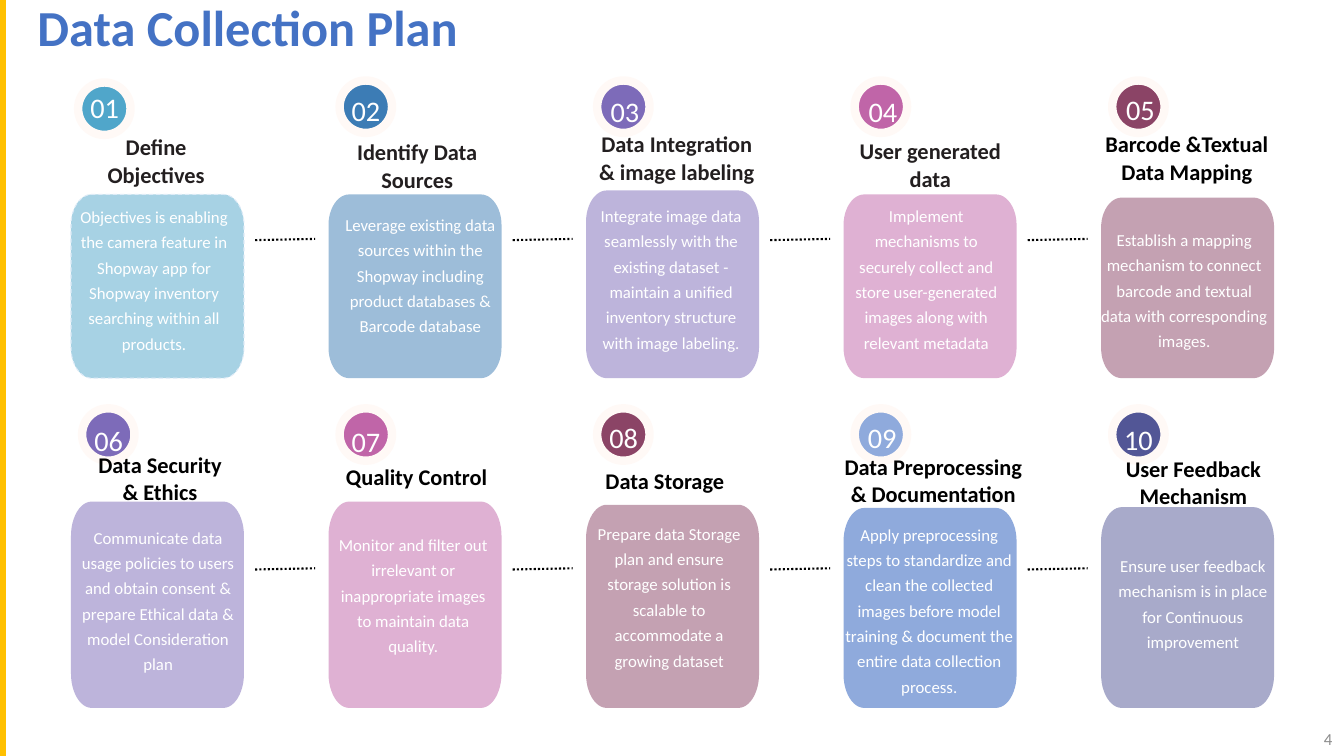
from dataclasses import dataclass
from math import cos, pi, sin

from lxml import etree
from pptx import Presentation
from pptx.dml.color import RGBColor
from pptx.enum.dml import MSO_LINE
from pptx.enum.shapes import MSO_CONNECTOR, MSO_SHAPE
from pptx.enum.text import MSO_ANCHOR, PP_ALIGN
from pptx.oxml.ns import qn
from pptx.shapes.base import BaseShape
from pptx.slide import Slide
from pptx.text.text import TextFrame
from pptx.util import Cm, Pt

LEFT, MID, RIGHT = PP_ALIGN.LEFT, PP_ALIGN.CENTER, PP_ALIGN.RIGHT
TOP, CENTRE = MSO_ANCHOR.TOP, MSO_ANCHOR.MIDDLE
DASH, DOTS = MSO_LINE.DASH, MSO_LINE.ROUND_DOT
OVAL, RECT = MSO_SHAPE.OVAL, MSO_SHAPE.RECTANGLE
STRAIGHT = MSO_CONNECTOR.STRAIGHT


@dataclass(frozen=True)
class Theme:
    font: str = "Calibri"
    blue: str = "4472C4"
    gold: str = "FFC000"
    cream: str = "FFF9F6"
    pale: str = "DEEBF7"
    white: str = "FFFFFF"
    black: str = "000000"
    ink: str = "231F20"
    grey: str = "8C8C8C"
    teal: str = "50A6CA"
    sea: str = "3C7CB5"
    plum: str = "7D6BB9"
    pink: str = "C065A8"
    wine: str = "8B4466"
    sky: str = "8FAADC"
    navy: str = "525696"
    head: float = 36
    count: float = 20.2
    label: float = 16
    small: float = 12


@dataclass(frozen=True)
class Spot:
    """Text place in cm; x counts from the left edge of the step's card."""
    x: float
    y: float
    wide: float = 3.89


@dataclass(frozen=True)
class Step:
    label: str
    body: str
    tint: str
    top: float
    count: Spot
    name: Spot
    note: Spot


@dataclass(frozen=True)
class Row:
    ring: float
    base: float
    link: float
    lead: float | None
    steps: tuple[Step, ...]


T = Theme()
START, PITCH, WIDE = 1.79, 6.49, 4.36
RING, COUNT = 1.32, 0.94

ROWS = (
    Row(2.03, 9.53, 6.05, 19.9, (
        Step("Define Objectives",
             "Objectives is enabling the camera feature in Shopway app for Shopway "
             "inventory searching within all products.",
             T.teal, 4.9, Spot(0.38, 2.13, COUNT), Spot(0.33, 3.33, 3.63), Spot(0.15, 5.08)),
        Step("Identify Data Sources",
             "Leverage existing data sources within the Shopway including product "
             "databases & Barcode database",
             T.sea, 4.9, Spot(0.47, 2.21, COUNT), Spot(0.42, 3.45, 3.63), Spot(0.26, 5.28, 4.11)),
        Step("Data Integration & image labeling",
             "Integrate image data seamlessly with the existing dataset - maintain "
             "a unified inventory structure with image labeling.",
             T.plum, 4.8, Spot(0.51, 2.24, COUNT), Spot(0.28, 3.25, 4.01), Spot(0.2, 5.05)),
        Step("User generated data",
             "Implement mechanisms to securely collect and store user-generated "
             "images along with relevant metadata",
             T.pink, 4.9, Spot(0.52, 2.24, COUNT), Spot(0.09, 3.43, 4.19), Spot(0.14, 5.05)),
        Step("Barcode &Textual Data Mapping",
             "Establish a mapping mechanism to connect barcode and textual data "
             "with corresponding images.",
             T.wine, 4.98, Spot(0.52, 2.18, COUNT), Spot(0, 3.25, 4.32), Spot(0, 5.66, 4.19)),
    )),
    Row(10.29, 17.84, 14.35, None, (
        Step("Data Security & Ethics",
             "Communicate data usage policies to users and obtain consent & prepare "
             "Ethical data & model Consideration plan",
             T.plum, 12.64, Spot(0.48, 10.52, COUNT), Spot(0.43, 11.38, 3.63), Spot(0.25, 13.16)),
        Step("Quality Control",
             "Monitor and filter out irrelevant or inappropriate images to maintain "
             "data quality.",
             T.pink, 12.64, Spot(0.47, 10.54, COUNT), Spot(0.44, 11.68, 3.63), Spot(0.19, 13.34)),
        Step("Data Storage",
             "Prepare data Storage plan and ensure storage solution is scalable to "
             "accommodate a growing dataset",
             T.wine, 12.72, Spot(0.48, 10.46, COUNT), Spot(0.49, 11.76, 3.63), Spot(0.15, 13.06)),
        Step("Data Preprocessing & Documentation",
             "Apply preprocessing steps to standardize and clean the collected images "
             "before model training & document the entire data collection process.",
             T.sky, 12.8, Spot(0.5, 10.46, COUNT), Spot(0, 11.43, 4.52), Spot(0.04, 13.08, 4.24)),
        Step("User Feedback Mechanism",
             "Ensure user feedback mechanism is in place for Continuous improvement",
             T.navy, 12.78, Spot(0.47, 10.49, COUNT), Spot(0.51, 11.46, 3.63), Spot(0.37, 13.87)),
    )),
)


def style(frame: TextFrame, text: str, size: float, tint: str, align: PP_ALIGN = MID,
          lead: float | None = None, bold: bool = False) -> None:
    frame.word_wrap = True
    frame.text = text
    para = frame.paragraphs[0]
    para.alignment = align
    if lead:
        para.line_spacing = Pt(lead)
    font = para.runs[0].font
    font.name, font.size, font.bold = T.font, Pt(size), bold
    font.color.rgb = RGBColor.from_string(tint)


def write(slide: Slide, left: float, spot: Spot, high: float) -> TextFrame:
    """Add an empty text box without insets."""
    box = slide.shapes.add_textbox(Cm(left + spot.x), Cm(spot.y), Cm(spot.wide), Cm(high))
    frame = box.text_frame
    frame.margin_left = frame.margin_right = frame.margin_top = frame.margin_bottom = 0
    return frame


def paint(shape: BaseShape, fill: str, edge: str | None = None, width: float = 1) -> None:
    shape.shadow.inherit = False
    shape.fill.solid()
    shape.fill.fore_color.rgb = RGBColor.from_string(fill)
    if edge:
        shape.line.color.rgb = RGBColor.from_string(edge)
        shape.line.width = Pt(width)
    else:
        shape.line.fill.background()


def add_card(slide: Slide, left: float, step: Step, base: float) -> None:
    """Draw a card whose corners are quarter ellipses."""
    high = base - step.top
    rx, ry = 0.12 * WIDE, high / 6
    hubs = ((left + WIDE - rx, base - ry), (left + rx, base - ry),
            (left + rx, step.top + ry), (left + WIDE - rx, step.top + ry))
    dots = []
    for turn, (x, y) in enumerate(hubs):
        for part in range(13):
            angle = (turn + part / 12) * pi / 2
            dots.append((Cm(x + rx * cos(angle)), Cm(y + ry * sin(angle))))
    path = slide.shapes.build_freeform(*dots[0])
    path.add_line_segments(dots[1:], close=True)
    card = path.convert_to_shape()
    dashed = step.tint == T.teal
    paint(card, step.tint, T.pale if dashed else None, 0.75)
    if dashed:
        card.line.dash_style = DASH
    if step.tint != T.sky:
        tint = card.fill._xPr.find(qn("a:solidFill"))[0]
        etree.SubElement(tint, qn("a:alpha")).set("val", "50000")


def add_link(slide: Slide, left: float, y: float) -> None:
    link = slide.shapes.add_connector(STRAIGHT, Cm(left), Cm(y), Cm(left + 1.51), Cm(y - 0.03))
    link.line.color.rgb = RGBColor.from_string(T.black)
    link.line.width = Pt(1.5)
    link.line.dash_style = DOTS
    etree.SubElement(link._element.spPr, qn("a:effectLst"))


def add_step(slide: Slide, step: Step, order: int, left: float, row: Row) -> None:
    add_card(slide, left, step, row.base)
    shift = 0.1 if order == 1 else 0
    ring = slide.shapes.add_shape(OVAL, Cm(left + 0.28 - shift), Cm(row.ring + shift / 2),
                                  Cm(RING), Cm(RING))
    paint(ring, step.tint, T.cream, 6)
    style(write(slide, left, step.count, COUNT), f"{order:02}", T.count, T.white, lead=28.2)
    style(write(slide, left, step.name, 1.38), step.label, T.label,
          T.ink if order < 5 else T.black, LEFT if order in (7, 8) else MID, row.lead, True)
    style(write(slide, left, step.note, 3.8), step.body, T.small, T.white, lead=18.1)


def main() -> None:
    deck = Presentation()
    deck.slide_width, deck.slide_height = Cm(33.87), Cm(19.05)
    slide = deck.slides.add_slide(deck.slide_layouts[5])

    head = slide.shapes.title
    head.left, head.top, head.width, head.height = Cm(0.69), Cm(-0.05), Cm(27.61), Cm(2.08)
    style(head.text_frame, "Data Collection Plan", T.head, T.blue, LEFT, bold=True)
    head.text_frame.vertical_anchor = TOP
    head.text_frame.paragraphs[0].line_spacing = 0.9

    bar = slide.shapes.add_shape(RECT, 0, 0, Cm(0.13), deck.slide_height)
    paint(bar, T.gold, T.gold)

    order = 0
    for row in ROWS:
        for col, step in enumerate(row.steps):
            order += 1
            left = START + col * PITCH
            add_step(slide, step, order, left, row)
            if col < len(row.steps) - 1:
                add_link(slide, left + WIDE + 0.28, row.link)

    page = slide.shapes.add_textbox(Cm(26.21), Cm(18.11), Cm(7.62), Cm(1.02)).text_frame
    style(page, "4", T.small, T.grey, RIGHT)
    page.vertical_anchor = CENTRE
    deck.save("out.pptx")


if __name__ == "__main__":
    main()
